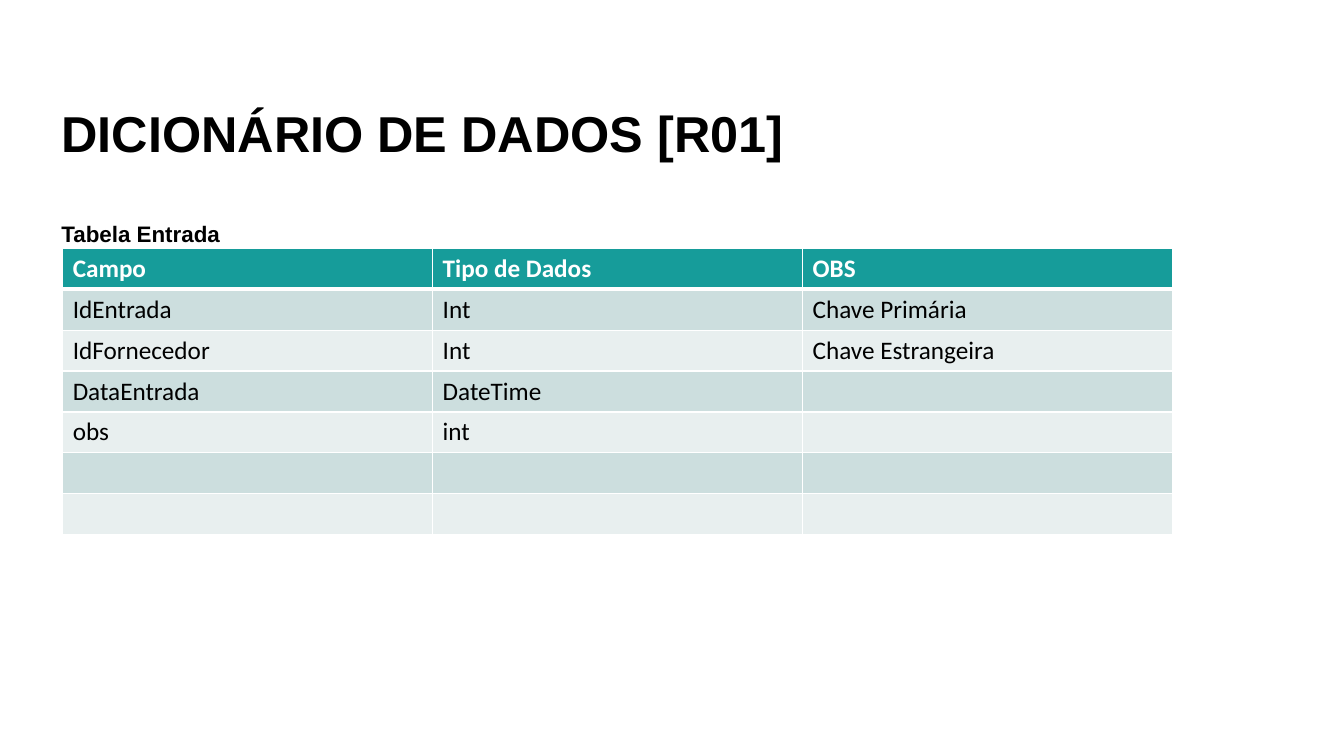
from lxml import etree
from pptx import Presentation, util as u
from pptx.dml.color import RGBColor
from pptx.enum import text
from pptx.oxml import ns

ROWS = [
    ("Campo", "Tipo de Dados", "OBS"),
    ("IdEntrada", "Int", "Chave Primária"),
    ("IdFornecedor", "Int", "Chave Estrangeira"),
    ("DataEntrada", "DateTime", ""),
    ("obs", "int", ""),
    ("", "", ""),
    ("", "", ""),
]


def color(code):
    return RGBColor.from_string(code)


def style(font, name, size, code, bold):
    font.name = name
    font.size = u.Pt(size)
    font.bold = bold
    font.color.rgb = color(code)


def heading(slide, box, words, size):
    frame = slide.shapes.add_textbox(*box).text_frame
    frame.word_wrap = True
    frame.vertical_anchor = text.MSO_ANCHOR.BOTTOM
    frame.text = words
    para = frame.paragraphs[0]
    para.line_spacing = 0.9
    style(para.runs[0].font, "Arial", size, "000000", True)


def border(cell, side, width):
    props = cell._tc.get_or_add_tcPr()
    line = etree.SubElement(props, ns.qn("a:" + side), w=str(u.Pt(width)))
    fill = etree.SubElement(line, ns.qn("a:solidFill"))
    etree.SubElement(fill, ns.qn("a:srgbClr"), val="FFFFFF")


def grid(slide, box, rows):
    left, top, width, height = box
    table = slide.shapes.add_table(len(rows), len(rows[0]), *box).table
    for col in table.columns:
        col.width = int(width / len(rows[0]))
    for r, row in enumerate(rows):
        table.rows[r].height = int(height / len(rows))
        head = r == 0
        shade = "169C9A" if head else ("E8EFEF", "CCDEDE")[r % 2]
        for c, words in enumerate(row):
            cell = table.cell(r, c)
            for side in ("lnL", "lnR", "lnT", "lnB"):
                thick = (head and side == "lnB") or (r == 1 and side == "lnT")
                border(cell, side, 3 if thick else 1)
            cell.fill.solid()
            cell.fill.fore_color.rgb = color(shade)
            cell.text = words
            para = cell.text_frame.paragraphs[0]
            ink = "FFFFFF" if head else "000000"
            for run in para.runs:
                style(run.font, "Calibri", 18, ink, head)


def main():
    deck = Presentation()
    deck.slide_width = u.Cm(33.87)
    deck.slide_height = u.Cm(19.05)
    slide = deck.slides.add_slide(deck.slide_layouts[6])
    left, width, height = u.Cm(1.3), u.Cm(29.21), u.Cm(4.24)
    heading(slide, (left, 0, width, height), "DICIONÁRIO DE DADOS [R01]", 36)
    grid(slide, (u.Cm(1.58), u.Cm(6.26), u.Cm(27.97), u.Cm(7.21)), ROWS)
    heading(slide, (left, u.Cm(2.11), width, height), "Tabela Entrada", 16)
    deck.save("out.pptx")


if __name__ == "__main__":
    main()
